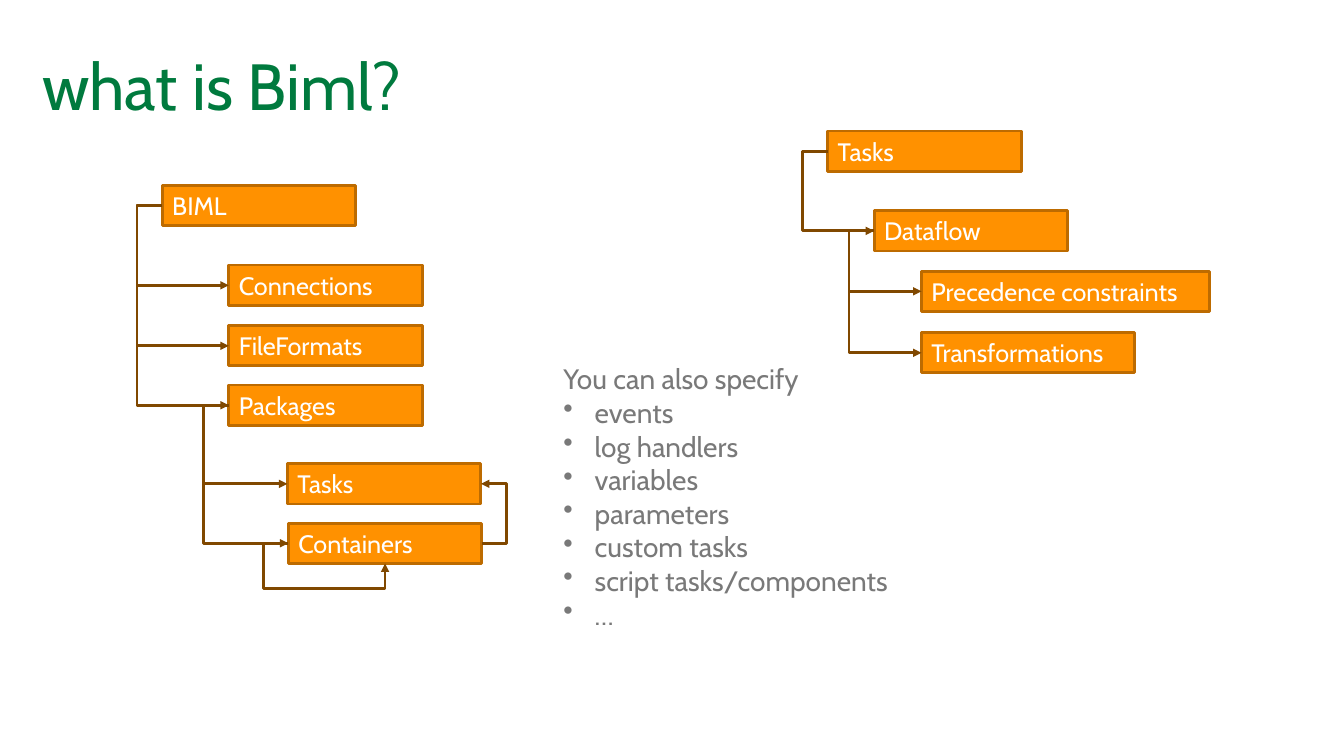
from pptx import Presentation
from pptx.dml.color import RGBColor
from pptx.enum.shapes import MSO_CONNECTOR, MSO_SHAPE
from pptx.enum.text import MSO_ANCHOR, MSO_AUTO_SIZE, PP_ALIGN
from pptx.oxml import parse_xml
from pptx.oxml.ns import nsdecls, qn
from pptx.util import Inches, Pt

GREEN = RGBColor(0x00, 0x7A, 0x3E)
ORANGE = RGBColor(0xFF, 0x91, 0x00)
DARK_ORANGE = RGBColor(0xBD, 0x6B, 0x00)
BROWN = RGBColor(0x80, 0x48, 0x00)
GRAY = RGBColor(0x79, 0x79, 0x79)
WHITE = RGBColor(0xFF, 0xFF, 0xFF)

TOP, LEFT, BOTTOM, RIGHT = range(4)


def write(paragraph, text, *, size, color, bullet=None, indent=0.31):
    if bullet:
        properties = paragraph._p.get_or_add_pPr()
        properties.set("marL", str(Inches(indent)))
        properties.set("indent", str(Inches(-indent)))
        properties.append(parse_xml(f'<a:buChar {nsdecls("a")} char="{bullet}"/>'))
    paragraph.alignment = PP_ALIGN.LEFT
    run = paragraph.add_run()
    run.text = text
    run.font.name = "Cabin"
    run.font.size = Pt(size)
    run.font.color.rgb = color


class TreeSlide:
    """Draws titles, lists, boxes and elbow arrows on one slide."""

    box_width, box_height = 1.92, 0.4
    stub = Inches(0.25)
    line_width = Pt(2)

    def __init__(self, slide):
        self.shapes = slide.shapes

    def text_box(self, left, top, width, height):
        frame = self.shapes.add_textbox(
            Inches(left), Inches(top), Inches(width), Inches(height)
        ).text_frame
        frame.word_wrap = True
        return frame

    def title(self, text):
        frame = self.text_box(0.42, 0.42, 12.5, 0.83)
        frame.margin_left = frame.margin_right = 0
        frame.margin_top = frame.margin_bottom = 0
        frame.vertical_anchor = MSO_ANCHOR.MIDDLE
        write(frame.paragraphs[0], text, size=46.6, color=GREEN)

    def bullet_list(self, heading, items):
        frame = self.text_box(5.49, 3.54, 4, 2.79)
        frame.auto_size = MSO_AUTO_SIZE.SHAPE_TO_FIT_TEXT
        write(frame.paragraphs[0], heading, size=20, color=GRAY)
        for item in items:
            write(frame.add_paragraph(), item, size=20, color=GRAY, bullet="•")

    def box(self, text, left, top, width=box_width):
        shape = self.shapes.add_shape(
            MSO_SHAPE.RECTANGLE,
            Inches(left), Inches(top), Inches(width), Inches(self.box_height),
        )
        shape.shadow.inherit = False
        shape.fill.solid()
        shape.fill.fore_color.rgb = ORANGE
        shape.line.color.rgb = DARK_ORANGE
        shape.line.width = self.line_width
        shape.text_frame.word_wrap = True
        write(shape.text_frame.paragraphs[0], text, size=18, color=WHITE)
        return shape

    def arrow(self, source, target, start=LEFT, end=LEFT):
        connector = self.shapes.add_connector(MSO_CONNECTOR.ELBOW, 0, 0, 0, 0)
        connector.begin_connect(source, start)
        connector.end_connect(target, end)
        connector.line.color.rgb = BROWN
        connector.line.width = self.line_width
        connector.line._get_or_add_ln().append(
            parse_xml(f'<a:tailEnd {nsdecls("a")} type="triangle"/>')
        )
        connector._element.spPr.append(parse_xml(f'<a:effectLst {nsdecls("a")}/>'))

        run = connector.end_x - connector.begin_x
        rise = connector.end_y - connector.begin_y
        bends = [(self.stub if start == RIGHT else -self.stub) / run]
        if end == BOTTOM:
            bends.append((rise + self.stub) / rise)
        geometry = connector._element.spPr.find(qn("a:prstGeom"))
        geometry.set("prst", f"bentConnector{len(bends) + 2}")
        guides = geometry.get_or_add_avLst()
        for number, bend in enumerate(bends, 1):
            guides.append(parse_xml(
                f'<a:gd {nsdecls("a")} name="adj{number}" '
                f'fmla="val {round(bend * 100000)}"/>'
            ))


def main():
    presentation = Presentation()
    presentation.slide_width = Inches(13.33)
    presentation.slide_height = Inches(7.5)
    tree = TreeSlide(presentation.slides.add_slide(presentation.slide_layouts[6]))

    tree.title("what is Biml?")

    biml = tree.box("BIML", 1.61, 1.84)
    connections = tree.box("Connections", 2.27, 2.63)
    file_formats = tree.box("FileFormats", 2.27, 3.23)
    packages = tree.box("Packages", 2.27, 3.82)
    tasks = tree.box("Tasks", 2.85, 4.6)
    containers = tree.box("Containers", 2.86, 5.19)

    task_root = tree.box("Tasks", 8.21, 1.3)
    dataflow = tree.box("Dataflow", 8.67, 2.09)
    constraints = tree.box("Precedence constraints", 9.14, 2.69, width=2.86)
    transformations = tree.box("Transformations", 9.14, 3.3, width=2.11)

    branches = [
        (biml, [connections, file_formats, packages]),
        (packages, [tasks, containers]),
        (task_root, [dataflow]),
        (dataflow, [constraints, transformations]),
    ]
    for parent, children in branches:
        for child in children:
            tree.arrow(parent, child)
    tree.arrow(containers, tasks, start=RIGHT, end=RIGHT)
    tree.arrow(containers, containers, end=BOTTOM)

    tree.bullet_list("You can also specify", [
        "events", "log handlers", "variables", "parameters",
        "custom tasks", "script tasks/components", "…",
    ])

    presentation.save("out.pptx")


if __name__ == "__main__":
    main()
